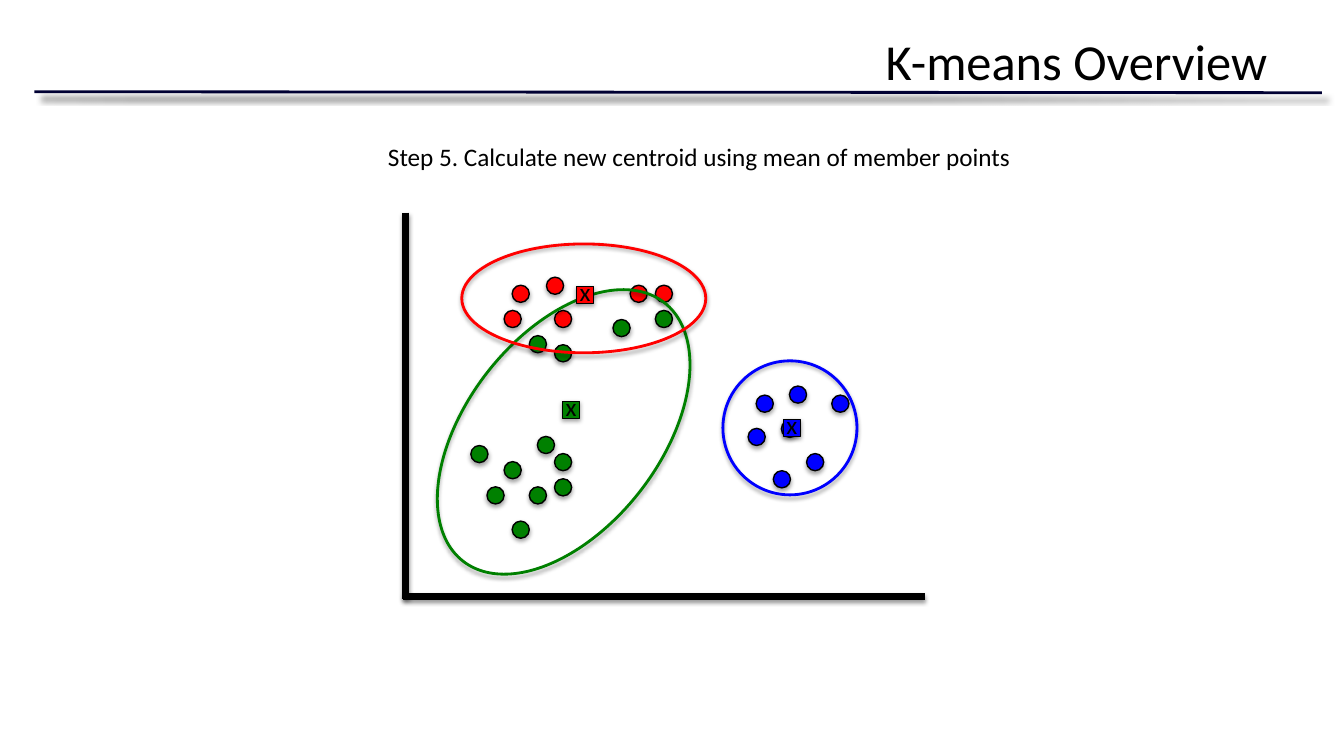
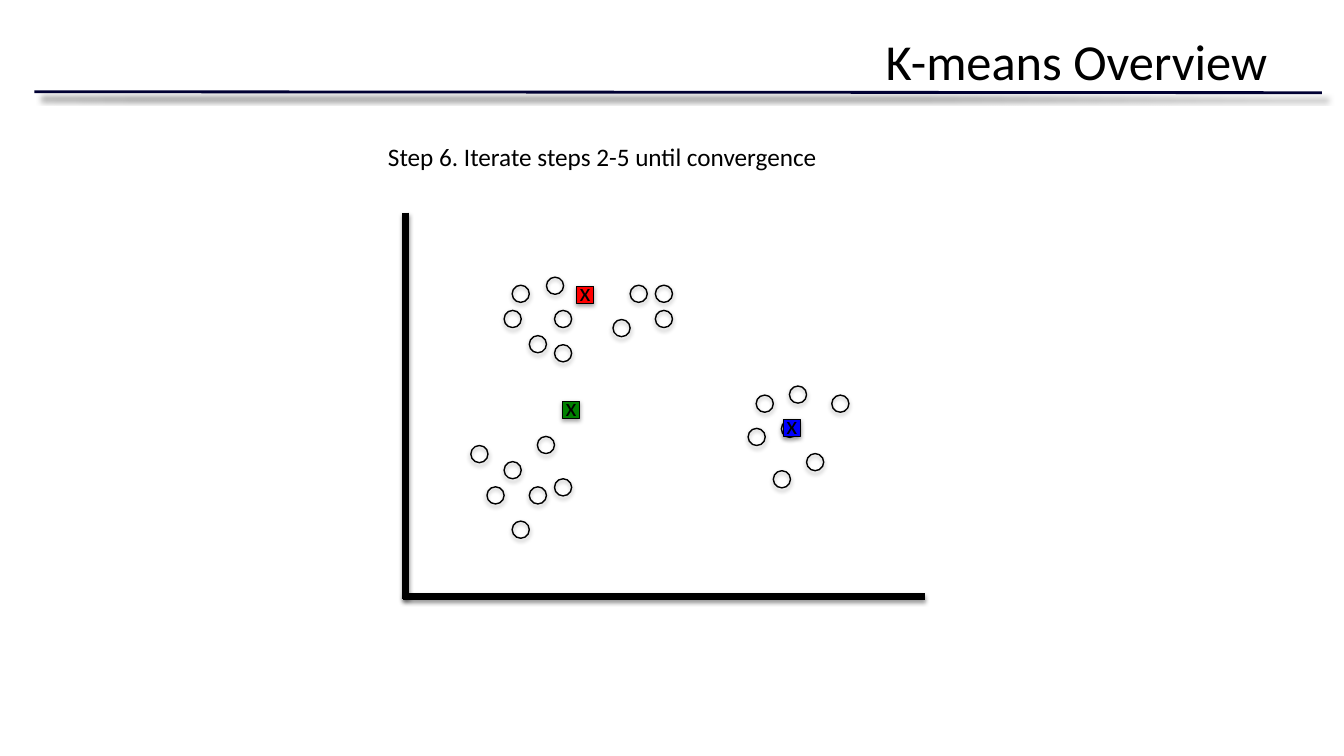
from dataclasses import dataclass

from lxml import etree
from pptx import Presentation
from pptx.dml.color import RGBColor
from pptx.enum.shapes import MSO_CONNECTOR, MSO_SHAPE
from pptx.enum.text import MSO_ANCHOR, MSO_AUTO_SIZE, PP_ALIGN
from pptx.oxml.ns import qn
from pptx.util import Inches, Pt

OVAL = MSO_SHAPE.OVAL
SQUARE = MSO_SHAPE.RECTANGLE
STRAIGHT = MSO_CONNECTOR.STRAIGHT


@dataclass(frozen=True)
class Theme:
    font: str = "Calibri"
    title_size: int = 36
    text_size: int = 18
    black: RGBColor = RGBColor(0x00, 0x00, 0x00)
    navy: RGBColor = RGBColor(0x00, 0x00, 0x33)
    red: RGBColor = RGBColor(0xFF, 0x00, 0x00)
    green: RGBColor = RGBColor(0x00, 0x80, 0x00)
    blue: RGBColor = RGBColor(0x00, 0x00, 0xFF)
    # Shadows: opacity in percent, blur and distance in points, angle in degrees
    rule_shadow: tuple = (50, 4, 6, 45)
    axis_shadow: tuple = (38, 3.1, 1.6, 90)
    shape_shadow: tuple = (35, 3.1, 1.8, 90)


theme = Theme()

DOT_SIZE = 0.17
DOTS = {
    theme.red: [(5.42, 2.75), (5, 3.08), (6.25, 2.83), (5.5, 3.08),
                (6.5, 2.83), (5.08, 2.83)],
    theme.blue: [(7.5, 3.92), (7.42, 4.25), (7.83, 3.83), (7.75, 4.17),
                 (7.67, 4.67), (8, 4.5), (8.25, 3.92)],
    theme.green: [(5.25, 3.33), (5.5, 3.42), (5, 4.58), (5.25, 4.83),
                  (4.83, 4.83), (5.08, 5.17), (4.67, 4.42), (5.33, 4.33),
                  (5.5, 4.75), (6.08, 3.17), (6.5, 3.08)],
}
EXTRA_GREEN_DOT = (5.5, 4.5)
CENTROIDS = {theme.green: (5.58, 3.98), theme.red: (5.72, 2.84),
             theme.blue: (7.77, 4.16)}
CLUSTERS = [  # colour, left, top, width, height, rotation
    (theme.green, 4.63, 2.66, 1.92, 3.25, 37.9),
    (theme.red, 4.58, 2.42, 2.42, 1.08, 0),
    (theme.blue, 7.17, 3.58, 1.33, 1.33, 0),
]
AXES = [(4.02, 2.11, 4.02, 5.94), (9.17, 5.92, 4, 5.92)]
STEPS = [  # caption, caption width, whether points are assigned to clusters
    ("Step 5. Calculate new centroid using mean of member points", 6.46, True),
    ("Step 6. Iterate steps 2-5 until convergence", 4.53, False),
]


def add_line(page, ends, color, width, shadow):
    line = page.shapes.add_connector(STRAIGHT, *[Inches(v) for v in ends])
    line.line.color.rgb = color
    line.line.width = Pt(width)
    cast_shadow(line, shadow)
    return line


def cast_shadow(shape, shadow):
    """Add an outer shadow; call after the line is set, to keep the XML order."""
    opacity, blur, distance, angle = shadow
    effects = etree.SubElement(shape.element.spPr, qn("a:effectLst"))
    outer = etree.SubElement(
        effects, qn("a:outerShdw"), blurRad=str(Pt(blur)), dist=str(Pt(distance)),
        dir=str(angle * 60000), algn="ctr", rotWithShape="0")
    color = etree.SubElement(outer, qn("a:srgbClr"), val=str(theme.black))
    etree.SubElement(color, qn("a:alpha"), val=str(opacity * 1000))


deck = Presentation()
deck.slide_width = Inches(13.33)
deck.slide_height = Inches(7.5)
layout = deck.slide_layouts[5]

for caption, caption_width, assigned in STEPS:
    page = deck.slides.add_slide(layout)

    # The rule under the title lives on the shared layout
    if len(deck.slides) == 1:
        rule = add_line(page, (0.34, 0.91, 13.11, 0.92), theme.navy, 2,
                        theme.rule_shadow)
        layout.shapes.element.append(rule.element)

    title = page.shapes.title
    title.left, title.top = Inches(0.67), Inches(0.25)
    title.width, title.height = Inches(12), Inches(1.25)
    title.text_frame.text = "K-means Overview"
    title.text_frame.vertical_anchor = MSO_ANCHOR.TOP
    para = title.text_frame.paragraphs[0]
    para.alignment = PP_ALIGN.RIGHT
    span = para.runs[0]
    span.font.name = theme.font
    span.font.size = Pt(theme.title_size)
    span.font.color.rgb = theme.black

    for ends in AXES:
        add_line(page, ends, theme.black, 5, theme.axis_shadow)

    # Each figure: preset, left, top, width, height, rotation, fill, line, line width
    figures = [
        (OVAL, x, y, DOT_SIZE, DOT_SIZE, 0, color if assigned else None, theme.black, 1)
        for color, points in DOTS.items() for x, y in points
    ]
    if assigned:
        figures.append((OVAL, *EXTRA_GREEN_DOT, DOT_SIZE, DOT_SIZE, 0,
                        theme.green, theme.black, 1))
        figures += [(OVAL, *place, None, color, 2) for color, *place in CLUSTERS]
    figures += [(SQUARE, x, y, DOT_SIZE, DOT_SIZE, 0, color, theme.black, 0.75)
                for color, (x, y) in CENTROIDS.items()]

    for preset, left, top, width, height, rotation, fill, outline, weight in figures:
        figure = page.shapes.add_shape(
            preset, Inches(left), Inches(top), Inches(width), Inches(height))
        figure.rotation = rotation
        if fill is None:
            figure.fill.background()
        else:
            figure.fill.solid()
            figure.fill.fore_color.rgb = fill
        figure.line.color.rgb = outline
        figure.line.width = Pt(weight)
        cast_shadow(figure, theme.shape_shadow)

    # Each label: text, left, top, width, height, side margin, top margin
    labels = [(caption, 3.75, 1.35, caption_width, 0.4, 0.1, 0.05)]
    labels += [("x", x + 0.03, y - 0.1, 0.11, 0.3, 0, 0)
               for x, y in CENTROIDS.values()]
    for text, left, top, width, height, side_margin, top_margin in labels:
        box = page.shapes.add_textbox(
            Inches(left), Inches(top), Inches(width), Inches(height))
        frame = box.text_frame
        frame.text = text
        frame.word_wrap = False
        frame.auto_size = MSO_AUTO_SIZE.SHAPE_TO_FIT_TEXT
        frame.vertical_anchor = MSO_ANCHOR.MIDDLE
        frame.margin_left = frame.margin_right = Inches(side_margin)
        frame.margin_top = frame.margin_bottom = Inches(top_margin)
        span = frame.paragraphs[0].runs[0]
        span.font.name = theme.font
        span.font.size = Pt(theme.text_size)
        span.font.color.rgb = theme.black

deck.save("out.pptx")
